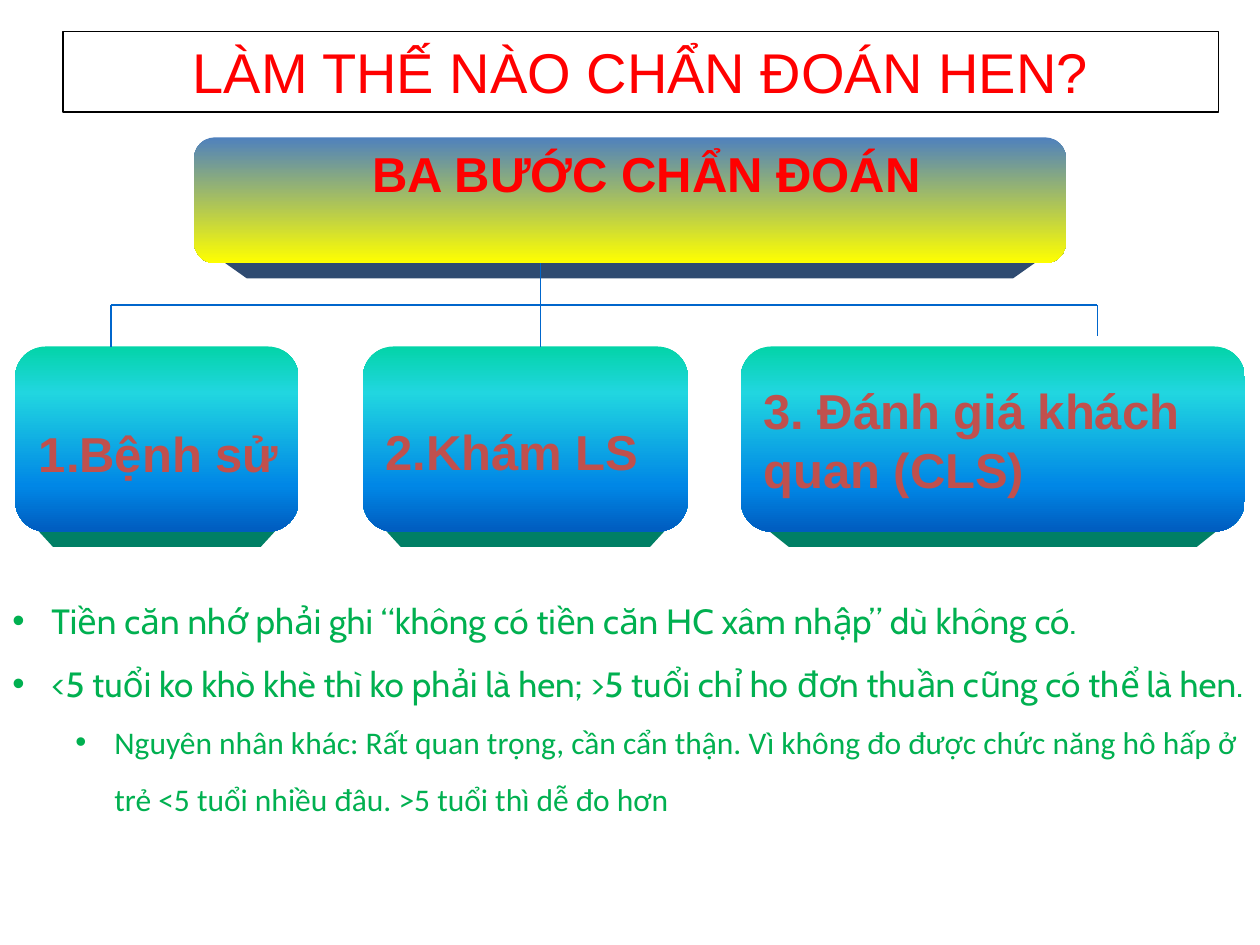
from lxml import etree
from pptx import Presentation
from pptx import util as u
from pptx.dml.color import RGBColor
from pptx.enum import shapes, text
from pptx.oxml import parse_xml
from pptx.oxml.ns import nsdecls, qn

Inches, Pt = u.Inches, u.Pt
TEAL_BLUE = [(0, "03D4A8"), (25, "21D6E0"), (75, "0087E6"), (100, "005CBF")]
BLUE_YELLOW = [(0, "4F81BD"), (100, "FFFF00")]
DEPTH = 0.12


def rgb(hex_color):
    return RGBColor.from_string(hex_color)


def style(p, size, color, font="Arial", bold=False):
    for r in p.runs:
        r.font.size, r.font.name, r.font.bold = Pt(size), font, bold
        r.font.color.rgb = rgb(color)


def gradient(sp, stops):
    """Fill a shape from top to bottom with (percent, colour) stops."""
    gs = "".join(f'<a:gs pos="{pos * 1000}"><a:srgbClr val="{color}"/></a:gs>'
                 for pos, color in stops)
    fill = parse_xml(f'<a:gradFill {nsdecls("a")} rotWithShape="1"><a:gsLst>{gs}'
                     '</a:gsLst><a:lin ang="5400000" scaled="1"/></a:gradFill>')
    sp._element.spPr.find(qn("a:prstGeom")).addnext(fill)


def label(s, box, content, size, color, bold=False, align=None):
    sp = s.shapes.add_textbox(*map(Inches, box))
    tf = sp.text_frame
    tf.word_wrap = True
    tf.auto_size = text.MSO_AUTO_SIZE.SHAPE_TO_FIT_TEXT
    tf.text = content
    tf.paragraphs[0].alignment = align
    style(tf.paragraphs[0], size, color, bold=bold)
    return sp


def block(s, box, stops, side_color, inset):
    """Rounded gradient box with a dark side that narrows below it."""
    x, y, w, h = box
    bottom, right = y + h, x + w
    fb = s.shapes.build_freeform(Inches(x + 0.08), Inches(bottom - DEPTH))
    fb.add_line_segments([(Inches(px), Inches(py)) for px, py in (
        (right - 0.08, bottom - DEPTH), (right - inset, bottom + DEPTH),
        (x + inset, bottom + DEPTH))])
    side = fb.convert_to_shape()
    side.shadow.inherit = False
    side.fill.solid()
    side.fill.fore_color.rgb = rgb(side_color)
    side.line.fill.background()
    sp = s.shapes.add_shape(shapes.MSO_SHAPE.FLOWCHART_ALTERNATE_PROCESS,
                            *map(Inches, box))
    sp.shadow.inherit = False
    gradient(sp, stops)
    sp.line.fill.background()


def connect(s, x1, y1, x2, y2):
    line = s.shapes.add_connector(shapes.MSO_CONNECTOR.STRAIGHT,
                                  *map(Inches, (x1, y1, x2, y2)))
    line.line.color.rgb = rgb("0066CC")
    line.line.width = Pt(0.75)
    etree.SubElement(line._element.spPr, qn("a:effectLst"))


def title(s, box):
    sp = label(s, box, "LÀM THẾ NÀO CHẨN ĐOÁN HEN?", 32, "FF0000",
               align=text.PP_ALIGN.CENTER)
    sp.line.color.rgb = rgb("000000")
    sp.line.width = Pt(0.75)


def step_tree(s, x, y):
    """Header and three steps joined by a bracket, from the top left corner."""
    steps = [(0, 2.25, 0.3, "1.Bệnh sử", 0.09, 0.56, 2.42),
             (2.76, 2.58, 0.3, "2.Khám LS", 0.08, 0.55, 2.42),
             (5.76, 4, 0.38, "3. Đánh giá khách quan (CLS)", 0.08, 0.22, 3.92)]
    step_y, bar_y = y + 1.66, y + 1.33
    block(s, (x + 1.42, y, 6.92, 1), BLUE_YELLOW, "2F4B71", 0.42)
    label(s, (x + 1.76, y, 6.5, 0.57), "BA BƯỚC CHẨN ĐOÁN", 28, "FF0000", True,
          text.PP_ALIGN.CENTER)
    for dx, w, inset, content, tx, ty, tw in steps:
        block(s, (x + dx, step_y, w, 1.47), TEAL_BLUE, "007F65", inset)
        height = 1.04 if w == 4 else 0.57
        label(s, (x + dx + tx, step_y + ty, tw, height), content, 28, "C0504D", True)
    left, middle, right = x + 0.76, x + 4.17, x + 8.59
    connect(s, left, bar_y, right, bar_y)
    connect(s, left, bar_y, left, step_y)
    connect(s, middle, y + 1, middle, step_y)
    connect(s, right, bar_y, right, bar_y + 0.25)


def notes(s, box):
    items = [
        (0, "Tiền căn nhớ phải ghi “không có tiền căn HC xâm nhập” dù không có."),
        (0, "<5 tuổi ko khò khè thì ko phải là hen; >5 tuổi chỉ ho đơn thuần "
            "cũng có thể là hen."),
        (1, "Nguyên nhân khác: Rất quan trọng, cần cẩn thận. Vì không đo được "
            "chức năng hô hấp ở trẻ <5 tuổi nhiều đâu. >5 tuổi thì dễ đo hơn"),
    ]
    tf = s.shapes.add_textbox(*map(Inches, box)).text_frame
    tf.word_wrap = True
    tf.auto_size = text.MSO_AUTO_SIZE.SHAPE_TO_FIT_TEXT
    for i, (level, content) in enumerate(items):
        p = tf.add_paragraph() if i else tf.paragraphs[0]
        p.text = content
        p.level = level
        p.line_spacing = 1.5
        pPr = p._p.get_or_add_pPr()
        pPr.set("marL", str(Inches(0.31 + 0.5 * level)))
        pPr.set("indent", str(-Inches(0.31)))
        etree.SubElement(pPr, qn("a:buFont")).set("typeface", "Arial")
        etree.SubElement(pPr, qn("a:buChar")).set("char", "•")
        style(p, 18 if level else 20, "00B050", "Calibri" if level else "Cabin")


def main():
    prs = Presentation()
    prs.slide_width, prs.slide_height = Inches(10), Inches(7.5)
    s = prs.slides.add_slide(prs.slide_layouts[6])
    title(s, (0.5, 0.25, 9.17, 0.64))
    step_tree(s, 0.12, 1.09)
    notes(s, (0, 4.54, 9.99, 1.97))
    prs.save("out.pptx")


if __name__ == "__main__":
    main()
